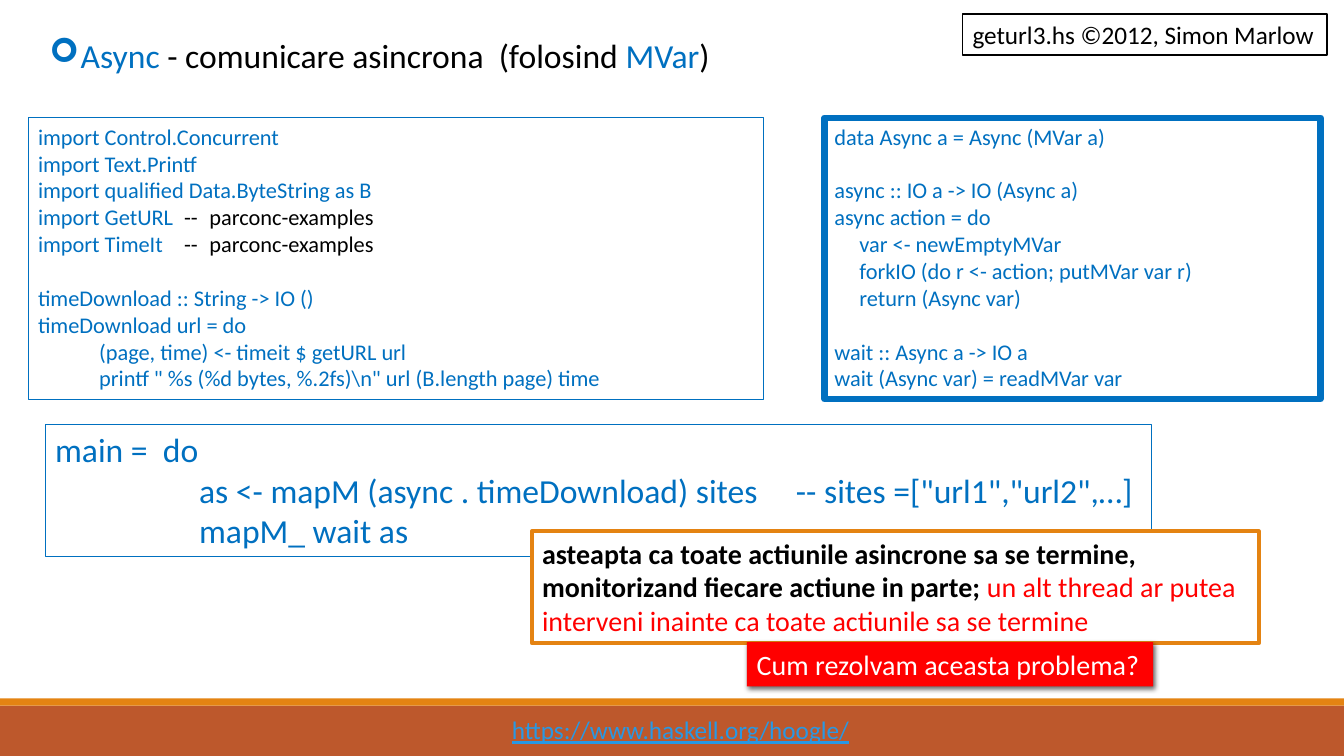
from lxml import etree
from pptx import Presentation
from pptx import util as u
from pptx.dml.color import RGBColor
from pptx.enum import shapes, text
from pptx.oxml import ns

BLUE = RGBColor(0x00, 0x70, 0xC0)
BLACK = RGBColor(0x00, 0x00, 0x00)
WHITE = RGBColor(0xFF, 0xFF, 0xFF)
RED = RGBColor(0xFF, 0x00, 0x00)
ORANGE = RGBColor(0xE4, 0x83, 0x12)
RUST = RGBColor(0xBD, 0x58, 0x2C)
LINK_BLUE = RGBColor(0x29, 0x98, 0xE3)
FONT = "Calibri"
TITLE_ONLY = 5

IMPORTS = [
    ["import Control.Concurrent"],
    ["import Text.Printf"],
    ["import qualified Data.ByteString as B"],
    ["import GetURL\t", ("--\tparconc-examples", {"color": BLACK})],
    ["import TimeIt\t", ("--\tparconc-examples", {"color": BLACK})],
]
TIME_DOWNLOAD = [
    ["timeDownload :: String -> IO ()"],
    ["timeDownload url = do"],
    ["\t(page, time) <- timeit $ getURL url"],
    ['\tprintf " %s (%d bytes, %.2fs)\\n" url (B.length page) time'],
]
ASYNC_TYPE = [["data Async a = Async (MVar a)"]]
ASYNC = [
    ["async :: IO a -> IO (Async a)"],
    ["async action = do"],
    ["\tvar <- newEmptyMVar"],
    ["\tforkIO (do r <- action; putMVar var r)"],
    ["\treturn (Async var)"],
]
WAIT = [["wait :: Async a -> IO a"], ["wait (Async var) = readMVar var"]]
MAIN = [
    ["main =  do"],
    ['\tas <- mapM (async . timeDownload) sites\t-- sites =["url1","url2",…]'],
    ["\tmapM_ wait as"],
]
EXPLANATION = [
    [("asteapta ca toate actiunile asincrone sa se termine,", {"bold": True})],
    [("monitorizand fiecare actiune in parte; ", {"bold": True}),
     ("un alt thread ar putea", {"color": RED})],
    [("interveni inainte ca toate actiunile sa se termine", {"color": RED})],
]
HEADING = [["Async", (" - comunicare asincrona  (folosind ", {"color": BLACK}),
            "MVar", (")", {"color": BLACK})]]


def add_tab_stops(paragraph, stops):
    """Set left tab stops, in centimetres, on a paragraph."""
    tab_list = etree.SubElement(paragraph._p.get_or_add_pPr(), ns.qn("a:tabLst"))
    for stop in stops:
        etree.SubElement(tab_list, ns.qn("a:tab"), pos=str(u.Cm(stop)), algn="l")


def write(frame, *sections, size, color=BLUE, underline=None, tabs=()):
    """Fill a frame with sections of paragraphs, one blank line's height apart."""
    frame.word_wrap = True
    frame.auto_size = text.MSO_AUTO_SIZE.NONE
    frame.vertical_anchor = text.MSO_ANCHOR.TOP
    paragraph = frame.paragraphs[0]
    for section_index, section in enumerate(sections):
        for line_index, line in enumerate(section):
            if section_index or line_index:
                paragraph = frame.add_paragraph()
            paragraph.alignment = text.PP_ALIGN.LEFT
            if section_index and not line_index:
                paragraph.space_before = u.Pt(1.2 * size)
            if tabs:
                add_tab_stops(paragraph, tabs)
            for part in line:
                words, style = (part, {}) if isinstance(part, str) else part
                run = paragraph.add_run()
                run.text = words
                run.font.name = FONT
                run.font.size = u.Pt(size)
                run.font.bold = style.get("bold", False)
                run.font.underline = underline
                run.font.color.rgb = style.get("color", color)


def add_bar(slide, top, height, color):
    """Add a full-width footer bar."""
    bar = slide.shapes.add_shape(
        shapes.MSO_SHAPE.RECTANGLE, 0, u.Cm(top), u.Cm(33.87), u.Cm(height))
    bar.shadow.inherit = False
    bar.fill.solid()
    bar.fill.fore_color.rgb = color
    bar.line.fill.background()


def add_box(slide, place, *sections, fill=None, line=None, line_width=0.75, **style):
    """Add a text box with an optional fill and outline."""
    box = slide.shapes.add_textbox(*map(u.Cm, place))
    if fill is not None:
        box.fill.solid()
        box.fill.fore_color.rgb = fill
    if line is not None:
        box.line.color.rgb = line
        box.line.width = u.Pt(line_width)
    write(box.text_frame, *sections, **style)
    return box


def add_drop_shadow(box):
    """Cast a soft shadow to the lower right."""
    effects = etree.SubElement(box.element.spPr, ns.qn("a:effectLst"))
    shadow = etree.SubElement(
        effects, ns.qn("a:outerShdw"), blurRad=str(u.Pt(3.5)),
        dist=str(u.Pt(2)), dir=str(45 * 60000), algn="tl", rotWithShape="0")
    tint = etree.SubElement(shadow, ns.qn("a:srgbClr"), val=str(BLACK))
    etree.SubElement(tint, ns.qn("a:alpha"), val="60000")


def set_heading(title):
    """Place the title and give it an arrowhead bullet."""
    title.left, title.top, title.width, title.height = map(
        u.Cm, (0.99, 0.74, 17.5, 1.27))
    write(title.text_frame, *[HEADING], size=24)
    properties = title.text_frame.paragraphs[0]._p.get_or_add_pPr()
    properties.set("marL", str(u.Cm(0.79)))
    properties.set("indent", str(-u.Cm(0.79)))
    etree.SubElement(properties, ns.qn("a:buFont"), typeface="Wingdings")
    etree.SubElement(properties, ns.qn("a:buChar"), char="➢")


def main():
    """Build and save the slide."""
    deck = Presentation()
    deck.slide_width, deck.slide_height = u.Cm(33.87), u.Cm(19.05)
    slide = deck.slides.add_slide(deck.slide_layouts[TITLE_ONLY])

    add_bar(slide, 17.78, 1.27, RUST)
    add_bar(slide, 17.6, 0.18, ORANGE)
    add_box(slide, (12.65, 17.88, 9.12, 1.02), [["https://www.haskell.org/hoogle/"]],
            size=18, color=LINK_BLUE, underline=True)

    set_heading(slide.shapes.title)
    add_box(slide, (20.78, 2.97, 12.5, 7.09), ASYNC_TYPE, ASYNC, WAIT,
            line=BLUE, line_width=4.5, size=16, tabs=(0.63,))
    add_box(slide, (0.71, 2.97, 18.54, 7.09), IMPORTS, TIME_DOWNLOAD,
            line=BLUE, size=16, tabs=(1.54, 3.68, 4.32))
    add_box(slide, (1.14, 10.69, 27.89, 3.33), MAIN,
            line=BLUE, size=24, tabs=(3.63, 18.67))
    add_box(slide, (24.26, 0.36, 9.19, 1.02), [["geturl3.hs ©2012, Simon Marlow"]],
            fill=WHITE, line=BLACK, line_width=1.25, size=18, color=BLACK)
    add_box(slide, (13.41, 13.39, 18.31, 2.82), EXPLANATION,
            fill=WHITE, line=ORANGE, line_width=3, size=20, color=BLACK)
    question = add_box(slide, (18.82, 16.18, 10.24, 1.12),
                       [["Cum rezolvam aceasta problema?"]],
                       fill=RED, size=20, color=WHITE)
    add_drop_shadow(question)

    deck.save("out.pptx")


if __name__ == "__main__":
    main()
